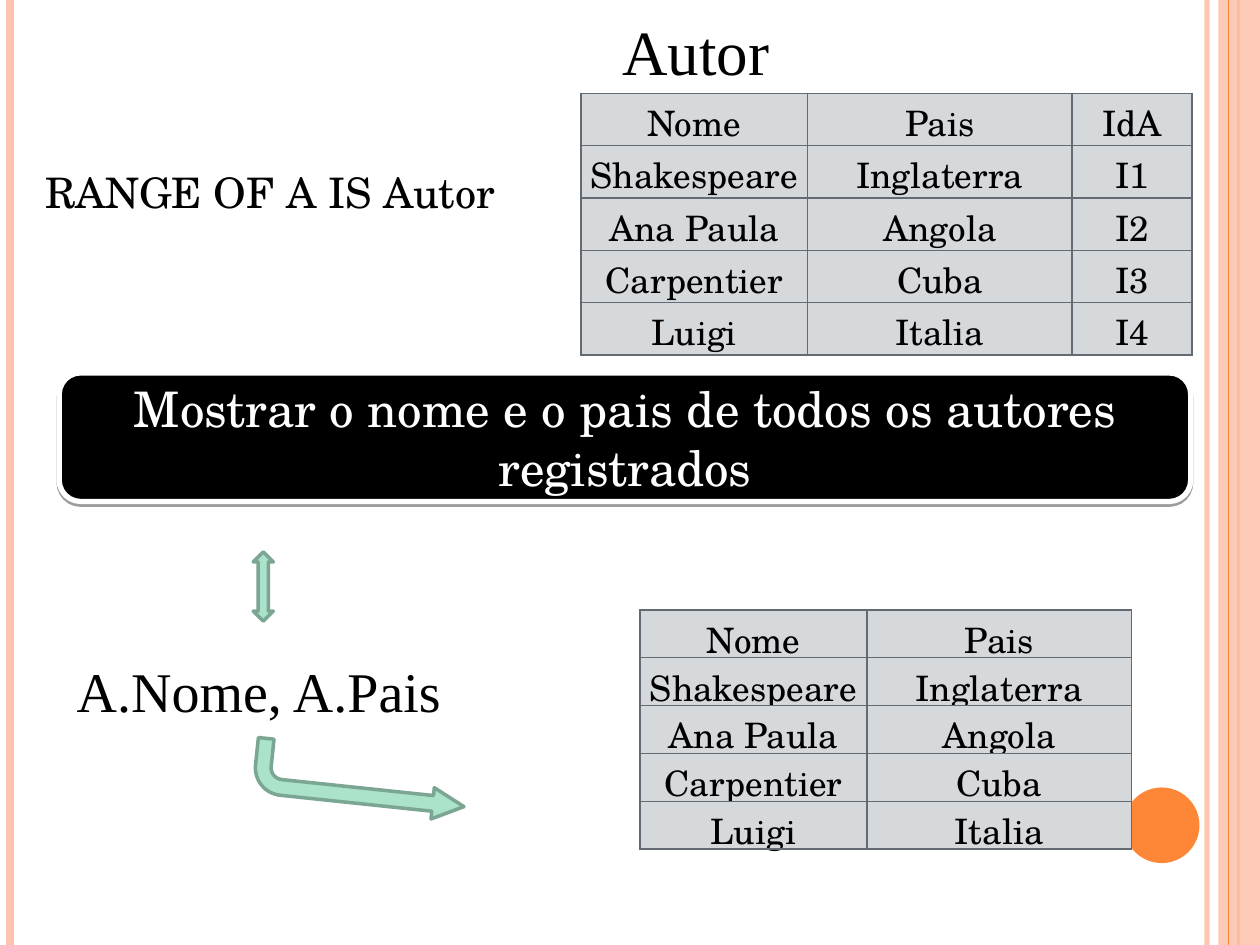
from dataclasses import dataclass
from pptx import Presentation
from pptx.dml.color import RGBColor
from pptx.enum.shapes import MSO_CONNECTOR, MSO_SHAPE
from pptx.enum.text import MSO_ANCHOR, PP_ALIGN
from pptx.oxml import parse_xml
from pptx.oxml.ns import nsdecls, qn
from pptx.util import Inches, Pt


@dataclass(frozen=True)
class Theme:
    black: str = "000000"
    white: str = "FFFFFF"
    peach: str = "FEC3AE"
    orange: str = "FE8637"
    mint: str = "AAE2CA"
    green: str = "7CA694"
    cell: str = "D5D9DC"
    border: str = "636A74"
    body: str = "TeX Gyre Schola"
    serif: str = "Times New Roman"
    grid: int = 20
    range: int = 24
    banner: int = 28
    query: int = 32
    title: int = 36


THEME = Theme()
AUTHORS = [
    ("Nome", "Pais", "IdA"),
    ("Shakespeare", "Inglaterra", "I1"),
    ("Ana Paula", "Angola", "I2"),
    ("Carpentier", "Cuba", "I3"),
    ("Luigi", "Italia", "I4"),
]


def rgb(color):
    return RGBColor.from_string(color)


def apply(target, values):
    for name, value in values.items():
        setattr(target, name, value)


def write(frame, text, size, face, color=THEME.black, **format):
    para = frame.paragraphs[0]
    apply(para, format)
    run = para.add_run()
    run.text = text
    apply(run.font, {"size": Pt(size), "name": face})
    run.font.color.rgb = rgb(color)


def add_fade(fill, percent):
    color = fill.find(".//" + qn("a:srgbClr"))
    color.append(parse_xml(f'<a:alpha {nsdecls("a")} val="{percent * 1000}"/>'))


def add_rule(slide, left, top, height, color, width, fade=None):
    rule = slide.shapes.add_connector(
        MSO_CONNECTOR.STRAIGHT, Inches(left), Inches(top), Inches(left), Inches(top + height))
    rule.line.color.rgb = rgb(color)
    rule.line.width = Pt(width)
    props = rule.element.spPr
    if fade:
        add_fade(props.find(qn("a:ln")), fade)
    props.append(parse_xml(f'<a:effectLst {nsdecls("a")}/>'))


def add_form(slide, kind, left, top, width, height, fill, line=None, weight=2):
    form = slide.shapes.add_shape(
        kind, Inches(left), Inches(top), Inches(width), Inches(height))
    form.shadow.inherit = False
    form.fill.solid()
    form.fill.fore_color.rgb = rgb(fill)
    if line:
        form.line.color.rgb = rgb(line)
        form.line.width = Pt(weight)
    else:
        form.line.fill.background()
    return form


def add_label(slide, left, top, width, height, text, size, face, wrap=True):
    box = slide.shapes.add_textbox(
        Inches(left), Inches(top), Inches(width), Inches(height))
    box.text_frame.word_wrap = wrap
    write(box.text_frame, text, size, face)


def add_frame(slide, left, top, width, height):
    right = left + width
    add_rule(slide, right - 0.42, top, height, THEME.peach, 3, 93)
    add_rule(slide, left + 0.08, top, height, THEME.peach, 4.5)
    add_rule(slide, right - 0.17, top, height, THEME.orange, 1.5)
    band = add_form(slide, MSO_SHAPE.RECTANGLE, right - 0.33, top, 0.33, height, THEME.peach)
    add_fade(band.element.spPr, 87)
    add_rule(slide, right - 0.25, top, height, THEME.orange, 0.75)
    add_form(slide, MSO_SHAPE.OVAL, right - 1.08, top + 6.25, 0.6, 0.6, THEME.orange)


def add_border(cell):
    props = cell._tc.get_or_add_tcPr()
    for spot, side in enumerate(("lnL", "lnR", "lnT", "lnB")):
        props.insert(spot, parse_xml(
            f'<a:{side} {nsdecls("a")} w="{Pt(1)}"><a:solidFill>'
            f'<a:srgbClr val="{THEME.border}"/></a:solidFill></a:{side}>'))


def add_grid(slide, left, top, rows, widths, step):
    table = slide.shapes.add_table(
        len(rows), len(widths), Inches(left), Inches(top),
        Inches(sum(widths)), Inches(step * len(rows))).table
    apply(table, {"first_row": False, "horz_banding": False})
    for column, width in zip(table.columns, widths):
        column.width = Inches(width)
    for row, texts in zip(table.rows, rows):
        row.height = Inches(step)
        for cell, text in zip(row.cells, texts):
            apply(cell, {
                "margin_left": Inches(0.05), "margin_top": Inches(0.06),
                "margin_right": Inches(0.05), "margin_bottom": 0,
            })
            cell.fill.solid()
            cell.fill.fore_color.rgb = rgb(THEME.cell)
            add_border(cell)
            write(cell.text_frame, text, THEME.grid, THEME.body,
                  alignment=PP_ALIGN.CENTER, line_spacing=0.87)


def add_source(slide, left, top):
    add_grid(slide, left, top + 0.69, AUTHORS, (1.8, 2.1, 0.95), 0.41)
    add_label(slide, left + 0.23, top, 1.85, 0.71, "Autor", THEME.title, THEME.serif)


def add_banner(slide, left, top, width, height):
    banner = add_form(slide, MSO_SHAPE.ROUNDED_RECTANGLE, left, top, width, height,
                      THEME.black, THEME.white, 3)
    effects = banner.element.spPr.find(qn("a:effectLst"))
    effects.append(parse_xml(
        f'<a:outerShdw {nsdecls("a")} blurRad="0" dist="{Pt(1.6)}" dir="5400000" '
        f'rotWithShape="0"><a:srgbClr val="{THEME.black}"><a:alpha val="38000"/>'
        '</a:srgbClr></a:outerShdw>'))
    frame = banner.text_frame
    apply(frame, {"word_wrap": True, "vertical_anchor": MSO_ANCHOR.MIDDLE})
    write(frame, "Mostrar o nome e o pais de todos os autores registrados",
          THEME.banner, THEME.body, THEME.white, alignment=PP_ALIGN.CENTER)


def add_query(slide, left, top):
    add_label(slide, left, top + 0.78, 4.33, 0.64, "A.Nome, A.Pais", THEME.query, THEME.serif)
    bend = add_form(slide, MSO_SHAPE.BENT_ARROW, left + 1.51, top + 1.56, 1.68, 0.5,
                    THEME.mint, THEME.green)
    bend.adjustments[2] = 0.5
    bend.rotation = 6
    bend.element.spPr.find(qn("a:xfrm")).set("flipV", "1")
    add_form(slide, MSO_SHAPE.UP_DOWN_ARROW, left + 1.5, top, 0.16, 0.55,
             THEME.mint, THEME.green)


def main():
    deck = Presentation()
    apply(deck, {"slide_width": Inches(10), "slide_height": Inches(7.5)})
    slide = deck.slides.add_slide(deck.slide_layouts[6])
    add_frame(slide, 0, 0, 10, 7.5)
    add_source(slide, 4.61, 0.05)
    add_banner(slide, 0.47, 2.96, 8.98, 1.02)
    add_query(slide, 0.51, 4.38)
    add_label(slide, 0.26, 1.27, 3.82, 0.5, "RANGE OF A IS Autor",
              THEME.range, THEME.body, False)
    add_grid(slide, 5.08, 4.84, [row[:2] for row in AUTHORS], (1.8, 2.1), 0.38)
    deck.save("out.pptx")


if __name__ == "__main__":
    main()
